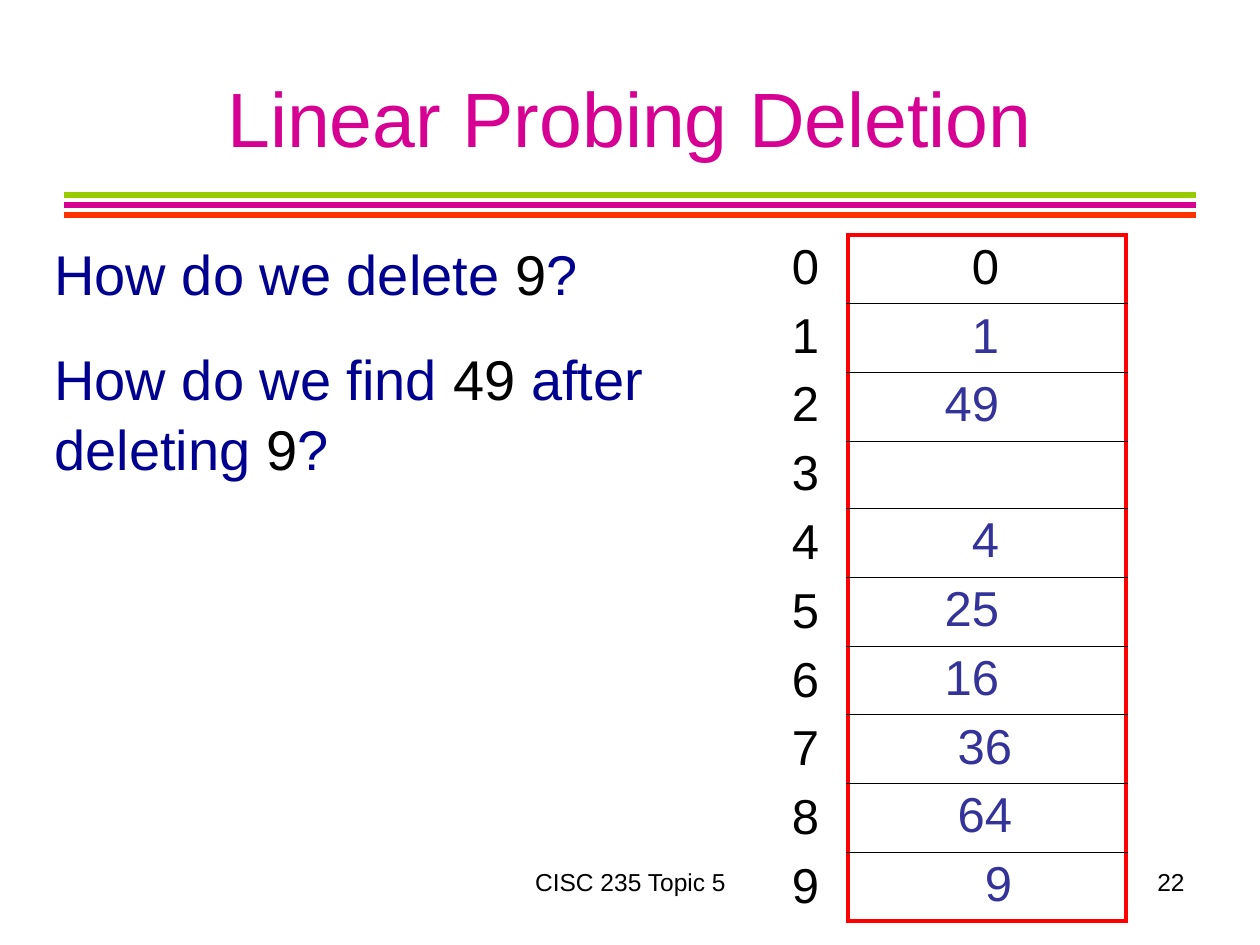
from lxml.etree import SubElement
from pptx import Presentation
from pptx.dml.color import RGBColor
from pptx.enum.shapes import MSO_CONNECTOR as Connector
from pptx.enum.text import MSO_ANCHOR as Anchor, PP_ALIGN as Align
from pptx.oxml import parse_xml
from pptx.oxml.ns import nsdecls, qn
from pptx.util import Emu, Pt

BLACK, NAVY, INDIGO = "000000", "000090", "333399"
PINK, GREEN, ORANGE, RED = "D60093", "99CC00", "FF3300", "FF0000"


def px(length):
    return Emu(round(length * 914400 / 126))


def color(code):
    return RGBColor.from_string(code)


class SlideBuilder:
    font = "Arial"

    def __init__(self, page):
        self.page = page

    def add_runs(self, para, runs, size, align=Align.LEFT, before=0):
        para.alignment = align
        para.space_before = Pt(before)
        for words, code in runs:
            span = para.add_run()
            span.text = words
            span.font.name = self.font
            span.font.size = Pt(size)
            span.font.color.rgb = color(code)

    def text(self, x, y, w, h, paragraphs, size, align=Align.LEFT,
             anchor=Anchor.TOP, before=0, spacing=None):
        box = self.page.shapes.add_textbox(px(x), px(y), px(w), px(h))
        frame = box.text_frame
        frame.word_wrap = True
        frame.vertical_anchor = anchor
        for index, runs in enumerate(paragraphs):
            para = frame.add_paragraph() if index else frame.paragraphs[0]
            self.add_runs(para, runs, size, align, before)
            if spacing:
                para.line_spacing = spacing

    def rule(self, x1, x2, y, code, width):
        line = self.page.shapes.add_connector(
            Connector.STRAIGHT, px(x1), px(y), px(x2), px(y))
        line.line.color.rgb = color(code)
        line.line.width = Pt(width)
        SubElement(line._element.spPr, qn("a:effectLst"))

    def borders(self, cell, sides):
        properties = cell._tc.get_or_add_tcPr()
        for index, side in enumerate("LRTB"):
            code, width = sides[side]
            properties.insert(index, parse_xml(
                f'<a:ln{side} {nsdecls("a")} w="{Pt(width)}"><a:solidFill>'
                f'<a:srgbClr val="{code}"/></a:solidFill></a:ln{side}>'))

    def column(self, x, y, w, row_height, entries, size, align, framed=False):
        """One-column table; each entry is (text, colour, right margin)."""
        count = len(entries)
        table = self.page.shapes.add_table(
            count, 1, px(x), px(y), px(w), px(row_height * count)).table
        table.first_row = table.horz_banding = False
        table.columns[0].width = px(w)
        thick, thin = (RED, 2.2), (BLACK, 0.45)
        for index, (words, code, right) in enumerate(entries):
            table.rows[index].height = px(row_height)
            cell = table.cell(index, 0)
            cell.margin_left, cell.margin_right = px(3), px(right)
            cell.margin_top = cell.margin_bottom = px(5)
            cell.fill.background()
            if words:
                self.add_runs(cell.text_frame.paragraphs[0],
                              [(words, code)], size, align, before=7)
            if framed:
                self.borders(cell, {
                    "L": thick, "R": thick,
                    "T": thin if index else thick,
                    "B": thin if index < count - 1 else thick})


def main():
    deck = Presentation()
    deck.slide_width, deck.slide_height = px(1260), px(945)
    slide = SlideBuilder(deck.slides.add_slide(deck.slide_layouts[6]))

    # Title and the three coloured rules
    for index, code in enumerate((GREEN, PINK, ORANGE)):
        slide.rule(64, 1196, 195 + 10 * index, code, 3)
    slide.text(63, 38, 1134, 157, [[("Linear Probing Deletion", PINK)]], 44,
               Align.CENTER, Anchor.MIDDLE)

    # Footer and page number
    slide.text(431, 861, 399, 66, [[("CISC 235 Topic 5", BLACK)]], 14,
               Align.CENTER)
    slide.text(903, 861, 294, 66, [[("22", BLACK)]], 14, Align.RIGHT)

    # Hash table: indices, then framed slots
    values = ["0", "1", "49", "", "4", "25", "16", "36", "64", "9"]
    indices = [(str(n), BLACK, 10) for n in range(len(values))]
    slots = [(value, INDIGO if n else BLACK, 127 if n < 7 else 114)
             for n, value in enumerate(values)]
    slide.column(789, 235, 59, 67, indices, 28, Align.LEFT)
    slide.column(848, 235, 278, 67, slots, 28, Align.RIGHT, framed=True)

    # Questions
    slide.text(42, 231, 703, 352, [
        [("How do we delete ", NAVY), ("9", BLACK), ("?", NAVY)],
        [("How do we find ", NAVY), ("49", BLACK),
         (" after deleting ", NAVY), ("9", BLACK), ("?", NAVY)],
    ], 32, before=20, spacing=1.04)

    deck.save("out.pptx")


if __name__ == "__main__":
    main()
